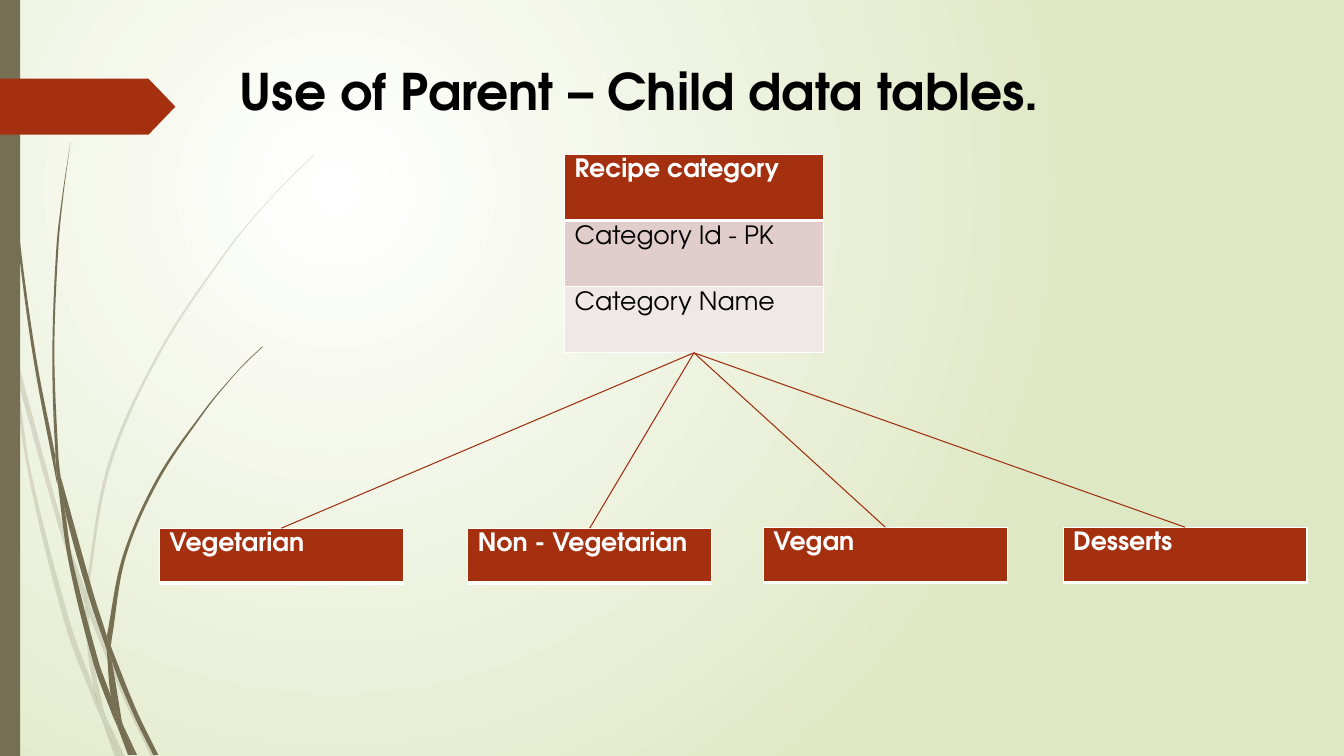
import math
from pptx import Presentation, util as u
from pptx.dml.color import RGBColor
from pptx.enum import shapes, text
from pptx.oxml import ns, xmlchemy as xml

FONT = "TeX Gyre Adventor"
HUES = {"white": "FFFFFF", "black": "000000", "lime": "DFE8C4", "olive": "766F54",
        "rust": "A53010", "line": "9E2E0F", "rose": "E1CDCC", "pale": "F0E8E7"}
UNIT = 0.72
BACK = [
    "11,350 9,322 0,282 | 0,299 10,344 11,350",
    "17,376 58,522 84,599 | 85,586 62,520 14,345",
    "88,610 123,694 150,751 | 155,751 127,692 92,607 88,596",
    "105,711 119,751 | 124,751 105,711",
    "11,350 28,470 65,621 92,693 101,714 | 99,707 93,683 70,619 31,469 17,376 11,350",
    "84,599 87,646 93,683 96,692 105,711 | 103,706 91,646 88,610 88,608 84,599",
    "312,153 289,175 268,197 228,244 158,348 107,461 85,584 85,586 | "
    "88,596 88,584 110,462 160,349 229,245 268,198 290,175 312,154",
    "101,714 114,751 | 119,751 101,714",
    "85,586 84,599 88,608 88,610 | 88,596 85,586",
    "93,683 99,707 101,714 119,751 | 119,751 105,711 96,692 93,683",
]
FRONT = [
    "3,0 4,48 7,110 17,233 33,355 56,477 57,481 | "
    "55,457 55,453 36,355 19,232 8,109 5,48 4,0",
    "60,472 64,505 88,592 106,645 | 106,633 106,631 93,590 60,472",
    "110,641 111,656 132,708 152,749 | 157,749 136,706 113,649 110,641",
    "57,477 68,557 93,659 111,708 117,722 | 116,717 110,691 98,657 72,556 64,505 57,477",
    "70,141 62,193 56,245 52,349 55,449 60,472 | 60,472 58,453 54,349 58,245 63,193 70,141",
    "122,719 133,749 | 136,749 122,719",
    "55,449 55,453 57,477 64,505 | 60,472 55,449",
    "260,344 245,358 231,373 204,405 156,474 122,551 106,631 | "
    "110,641 111,633 125,552 158,476 205,406 231,374 245,359 261,344",
    "117,722 127,749 | 131,749 117,722",
    "106,645 110,691 116,706 122,719 | 121,716 111,656 109,651 106,645",
    "106,631 106,645 109,651 111,656 | 110,641 106,631",
    "110,691 116,717 117,722 130,749 | 133,749 122,719 116,706 110,691",
]


def hue(name):
    return RGBColor.from_string(HUES[name])


def node(top, tag, **keys):
    elm = xml.OxmlElement(tag)
    for key, val in keys.items():
        elm.set(key, str(val))
    top.append(elm)
    return elm


def write(frame, words, size=18, color="white", bold=True):
    frame.word_wrap = True
    run = frame.paragraphs[0].add_run()
    run.text = words
    run.font.name = FONT
    run.font.size = u.Pt(size)
    run.font.bold = bold
    run.font.color.rgb = hue(color)


def paint(shape, color, alpha=100):
    shape.shadow.inherit = False
    shape.fill.solid()
    shape.fill.fore_color.rgb = hue(color)
    shape.line.fill.background()
    if alpha < 100:
        mark = shape.element.spPr.find(".//" + ns.qn("a:srgbClr"))
        node(mark, "a:alpha", val=alpha * 1000)


def smooth(edge):
    ends = [edge[0]] + edge + [edge[-1]]
    curve = []
    for a, b, c, d in zip(ends, ends[1:], ends[2:], ends[3:]):
        third = math.dist(b, c) / 3
        fore = third / (math.dist(a, c) or 1)
        aft = third / (math.dist(b, d) or 1)
        curve += [[q + (r - p) * fore for p, q, r in zip(a, b, c)],
                  [r - (s - q) * aft for q, r, s in zip(b, c, d)], c]
    return curve


def wisp(slide, words, alpha):
    one, two = [[tuple(10 * int(n) for n in spot.split(",")) for spot in half.split()]
                for half in words.split("|")]
    spots = smooth(one) + [one[-1], two[0], two[0]] + smooth(two)
    form = slide.shapes.build_freeform(*one[0], scale=u.Pt(UNIT) / 10)
    form.add_line_segments(spots, close=True)
    blade = form.convert_to_shape()
    trace = blade.element.find(".//" + ns.qn("a:path"))
    legs = trace.findall(ns.qn("a:lnTo"))[:len(spots)]
    for i in range(0, len(legs), 3):
        bend = xml.OxmlElement("a:cubicBezTo")
        legs[i].addprevious(bend)
        for leg in legs[i:i + 3]:
            bend.append(leg[0])
            trace.remove(leg)
    paint(blade, "olive", alpha)


def scene(slide, high):
    fill = slide.background.fill
    fill.gradient()
    for stop, name in zip(fill.gradient_stops, ("white", "lime")):
        stop.color.rgb = hue(name)
    grad = slide.element.find(".//" + ns.qn("a:gradFill"))
    grad.remove(grad.find(ns.qn("a:lin")))
    glow = node(grad, "a:path", path="circle")
    node(glow, "a:fillToRect", l=50000, t=50000, r=100000, b=100000)
    for group, alpha in ((BACK, 20), (FRONT, 100)):
        for words in group:
            wisp(slide, words, alpha)
    bar = slide.shapes.add_shape(shapes.MSO_SHAPE.RECTANGLE, 0, 0, u.Pt(14.4), u.Pt(high))
    paint(bar, "olive")
    tag = slide.shapes.add_shape(shapes.MSO_SHAPE.PENTAGON, 0, u.Pt(56.2),
                                 u.Pt(125.3), u.Pt(40))
    tag.adjustments[0] = 0.48
    paint(tag, "rust")


def title(slide, box, words):
    area = slide.shapes.add_textbox(*map(u.Pt, box))
    area.text_frame.auto_size = text.MSO_AUTO_SIZE.SHAPE_TO_FIT_TEXT
    write(area.text_frame, words, size=36, color="black")


def edges(cell, **sides):
    props = cell._tc.get_or_add_tcPr()
    for side in "LRTB":
        rule = node(props, "a:ln" + side, w=u.Pt(sides.get(side, 1)))
        node(node(rule, "a:solidFill"), "a:srgbClr", val=HUES["white"])


def grid(slide, box, rows):
    table = slide.shapes.add_table(len(rows), 1, *map(u.Pt, box)).table
    table.first_row = table.horz_banding = False
    for i, (words, back) in enumerate(rows):
        table.rows[i].height = u.Pt(box[3] / len(rows))
        cell = table.cell(i, 0)
        edges(cell, T=3 if i == 1 else 1, B=3 if i == 0 else 1)
        cell.fill.solid()
        cell.fill.fore_color.rgb = hue(back)
        write(cell.text_frame, words, color="black" if i else "white", bold=i == 0)


def link(slide, start, end):
    wire = slide.shapes.add_connector(shapes.MSO_CONNECTOR.STRAIGHT,
                                      *map(u.Pt, start + end))
    wire.line.color.rgb = hue("line")
    wire.line.width = u.Pt(0.75)
    node(wire.element.spPr, "a:effectLst")


def tree(slide, box, root, kids):
    left, top, wide, high = box
    grid(slide, box, root)
    size = (174.2, 39.4)
    for words, x, y in kids:
        grid(slide, (x, y) + size, [(words, "rust")])
    for words, x, y in kids:
        link(slide, (left + wide / 2, top + high), (x + size[0] / 2, y))


def main():
    deck = Presentation()
    deck.slide_width, deck.slide_height = u.Pt(960), u.Pt(540)
    slide = deck.slides.add_slide(deck.slide_layouts[6])
    scene(slide, 540)
    title(slide, (164.2, 39.2, 648, 51), "Use of Parent – Child data tables.")
    root = [("Recipe category", "rust"), ("Category Id - PK", "rose"),
            ("Category Name", "pale")]
    kids = [("Vegetarian", 113.8, 377.3), ("Non - Vegetarian", 334.1, 377.3),
            ("Vegan", 545.3, 376.6), ("Desserts", 759.4, 376.6)]
    tree(slide, (403.2, 110.2, 185, 141.8), root, kids)
    deck.save("out.pptx")


if __name__ == "__main__":
    main()
